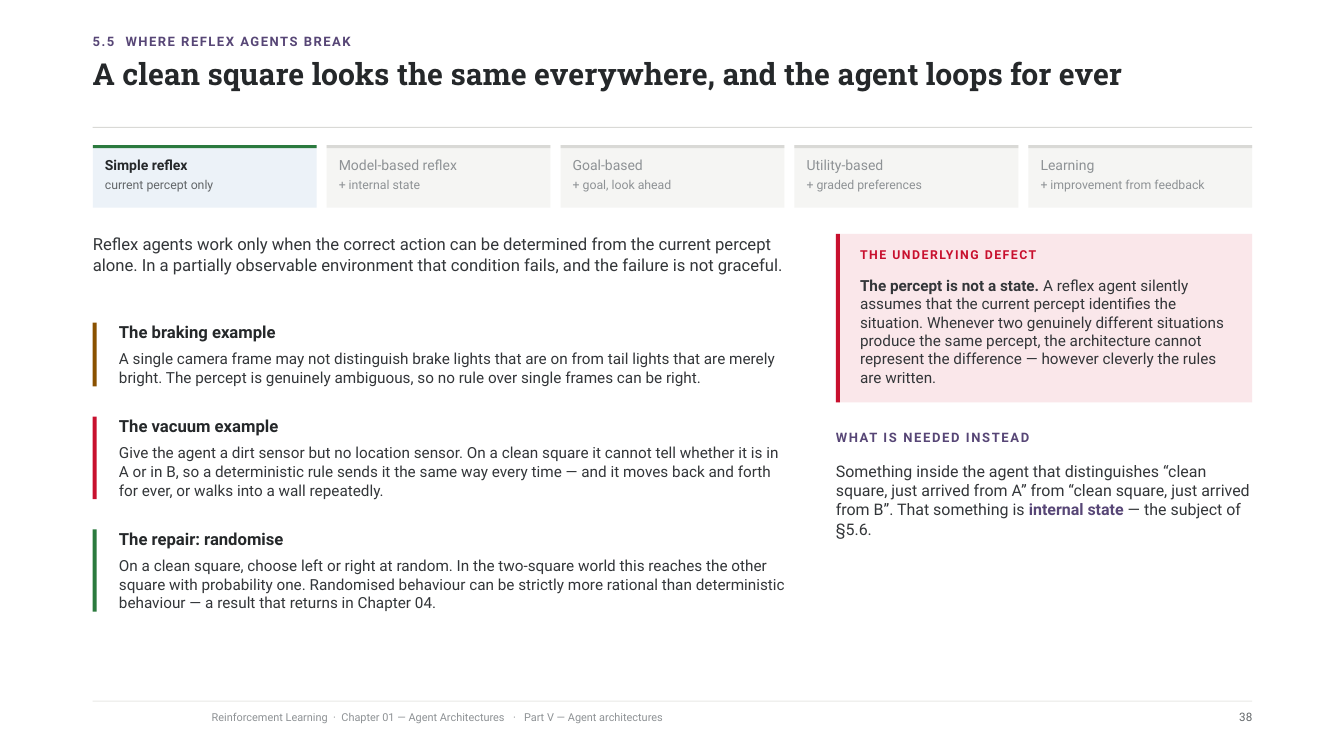
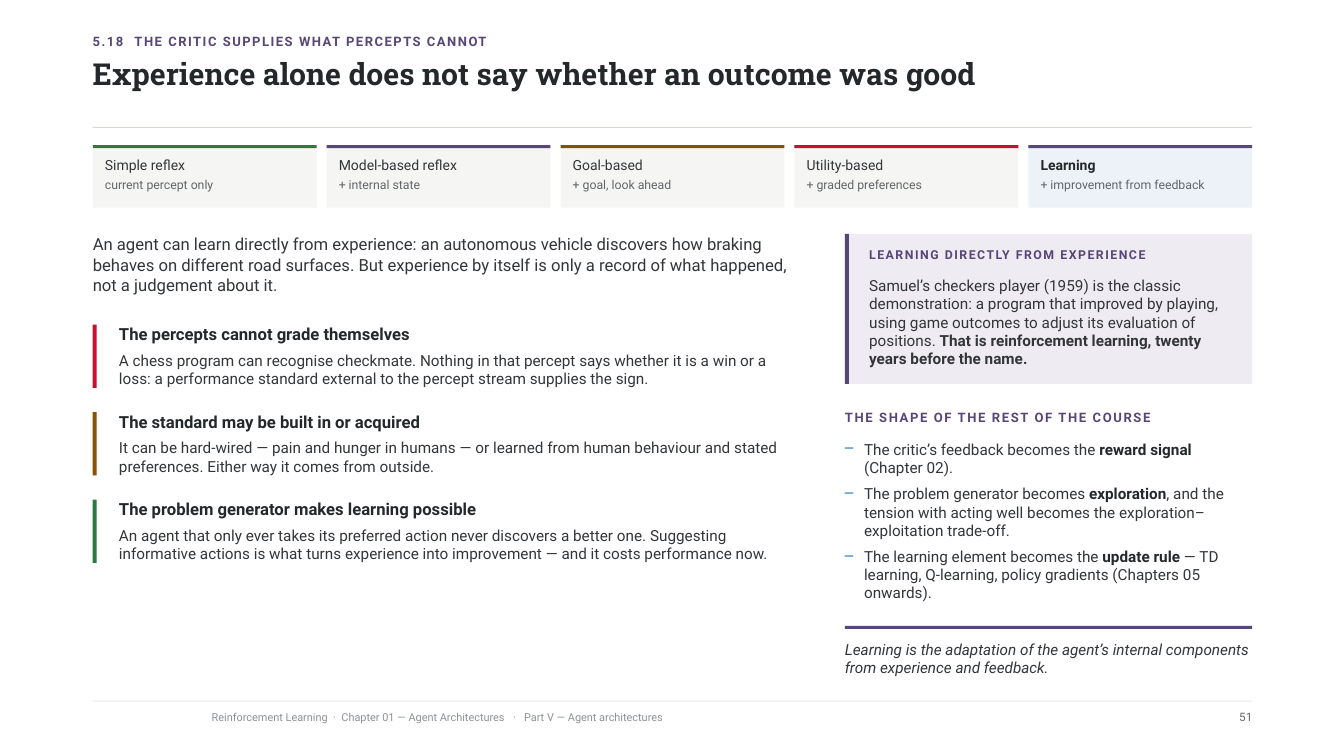
from dataclasses import dataclass
from typing import NamedTuple

from lxml.etree import SubElement
from pptx import Presentation
from pptx.dml.color import RGBColor
from pptx.enum.shapes import MSO_SHAPE
from pptx.enum.text import PP_ALIGN
from pptx.oxml.ns import qn
from pptx.slide import Slide
from pptx.util import Inches, Pt

# Shared palette and grid
INK, BODY, GREY, MUTED = "25282A", "333639", "626669", "8E9295"
RULE, FOOTER_RULE, PANEL, ACTIVE_PANEL = "D9D9D6", "E9E9E6", "F5F5F3", "ECF2F8"
PURPLE, GREEN, BROWN, RED, BLUE = "574676", "2B7A3E", "8A5100", "C8102E", "1971C2"
PALE_RED, PALE_PURPLE = "FAE7EA", "EEEBF2"
LEFT, WIDTH, CONTENT_TOP = 0.92, 11.5, 2.32
RIGHT = LEFT + WIDTH
BAR = 0.04


class Run(NamedTuple):
    text: str
    bold: bool | None = None
    color: str | None = None
    tracking: float = 0


@dataclass
class Text:
    runs: tuple[Run, ...]
    size: float
    line: float
    color: str = BODY
    bold: bool = False
    italic: bool = False
    before: float = 0
    font: str = "Roboto"
    tracking: float = 0
    align: PP_ALIGN | None = None
    bullet: str = ""


class Stage(NamedTuple):
    name: str
    detail: str
    color: str


class Point(NamedTuple):
    heading: str
    body: str
    color: str
    lines: int


class Callout(NamedTuple):
    heading: str
    runs: tuple[Run, ...]
    color: str
    fill: str
    lines: int


@dataclass
class Page:
    section: str
    topic: str
    title: str
    number: int
    active_stage: int
    intro: str
    points: tuple[Point, ...]
    points_top: float
    points_gap: float
    point_line: float
    column_left: float
    column_gap: float
    callout: Callout
    subheading: str

    @property
    def column_width(self) -> float:
        return RIGHT - self.column_left

    @property
    def callout_height(self) -> float:
        return 0.58 + self.callout.lines * 13.1 / 72

    @property
    def subheading_top(self) -> float:
        return CONTENT_TOP + self.callout_height + self.column_gap


STAGES = (
    Stage("Simple reflex", "current percept only", GREEN),
    Stage("Model-based reflex", "+ internal state", PURPLE),
    Stage("Goal-based", "+ goal, look ahead", BROWN),
    Stage("Utility-based", "+ graded preferences", RED),
    Stage("Learning", "+ improvement from feedback", PURPLE),
)


# Drawing helpers
def rgb(color: str) -> RGBColor:
    return RGBColor.from_string(color)


def plain(text: str) -> tuple[Run, ...]:
    return (Run(text),)


def add_block(slide: Slide, left: float, top: float, width: float, height: float, color: str) -> None:
    shape = slide.shapes.add_shape(
        MSO_SHAPE.RECTANGLE, Inches(left), Inches(top), Inches(width), Inches(height))
    shape.shadow.inherit = False
    shape.fill.solid()
    shape.fill.fore_color.rgb = rgb(color)
    shape.line.fill.background()


def add_bullet(paragraph, symbol: str) -> None:
    properties = paragraph._p.get_or_add_pPr()
    properties.set("marL", str(Inches(0.19)))
    properties.set("indent", str(-Inches(0.19)))
    bullet_color = SubElement(properties, qn("a:buClr"))
    SubElement(bullet_color, qn("a:srgbClr")).set("val", BLUE)
    SubElement(properties, qn("a:buChar")).set("char", symbol)


def add_text(slide: Slide, left: float, top: float, width: float, height: float, *texts: Text) -> None:
    box = slide.shapes.add_textbox(Inches(left), Inches(top), Inches(width), Inches(height))
    frame = box.text_frame
    frame.word_wrap = True
    frame.margin_left = frame.margin_right = frame.margin_top = frame.margin_bottom = 0
    for index, text in enumerate(texts):
        paragraph = frame.add_paragraph() if index else frame.paragraphs[0]
        if text.bullet:
            add_bullet(paragraph, text.bullet)
        paragraph.line_spacing = Pt(text.line)
        if text.before:
            paragraph.space_before = Pt(text.before)
        if text.align is not None:
            paragraph.alignment = text.align
        font = paragraph.font
        font.name, font.size = text.font, Pt(text.size)
        font.bold, font.italic = text.bold, text.italic
        font.color.rgb = rgb(text.color)
        for part in text.runs:
            run = paragraph.add_run()
            run.text = part.text
            if part.bold is not None:
                run.font.bold = part.bold
            if part.color:
                run.font.color.rgb = rgb(part.color)
            tracking = part.tracking or text.tracking
            if tracking:
                run._r.get_or_add_rPr().set("spc", str(round(tracking * 100)))


# Parts that both slides share
def add_frame(slide: Slide, page: Page) -> None:
    section = (Run(page.section), Run(" ", tracking=4.5), Run(page.topic))
    add_text(slide, LEFT, 0.36, WIDTH, 0.22, Text(section, 9.3, 9.3, PURPLE, True, tracking=1.1))
    add_text(slide, LEFT, 0.6, WIDTH, 0.52,
             Text(plain(page.title), 21.6, 22.5, INK, True, font="Roboto Slab"))
    add_block(slide, LEFT, 1.26, WIDTH, 0.01, RULE)
    add_block(slide, LEFT, 6.95, WIDTH, 0.01, FOOTER_RULE)
    narrow, wide = Run(" ", tracking=1.9), Run(" ", tracking=3.9)
    footer = (Run("Reinforcement Learning"), narrow, Run("·"), narrow,
              Run("Chapter 01 — Agent Architectures"), wide, Run("·"), wide,
              Run("Part V — Agent architectures"))
    add_text(slide, 2.1, 7.07, 9.1, 0.22, Text(footer, 7.8, 7.8, MUTED))
    add_text(slide, RIGHT - 1.2, 7.07, 1.2, 0.22,
             Text(plain(str(page.number)), 8.3, 8.3, GREY, align=PP_ALIGN.RIGHT))


def add_stages(slide: Slide, active: int) -> None:
    gap = 0.1
    width = (WIDTH - gap * (len(STAGES) - 1)) / len(STAGES)
    for index, stage in enumerate(STAGES):
        left = LEFT + index * (width + gap)
        current, ahead = index == active, index > active
        add_block(slide, left, 1.44, width, 0.62, ACTIVE_PANEL if current else PANEL)
        add_block(slide, left, 1.44, width, 0.03, RULE if ahead else stage.color)
        name_color = INK if current else MUTED if ahead else BODY
        add_text(slide, left + 0.12, 1.56, width - 0.24, 0.38,
                 Text(plain(stage.name), 10, 11.8, name_color, current),
                 Text(plain(stage.detail), 8.8, 9.9, MUTED if ahead else GREY, before=3))


def add_points(slide: Slide, page: Page) -> None:
    top, width = page.points_top, page.column_left - 0.45 - LEFT
    add_text(slide, LEFT, CONTENT_TOP, width, 0.64, Text(plain(page.intro), 11.9, 14.5))
    for point in page.points:
        height = (14 + 5 + point.lines * page.point_line) / 72
        add_text(slide, LEFT + 0.26, top, width - 0.26, height + 0.04,
                 Text(plain(point.heading), 11.9, 14, INK, True),
                 Text(plain(point.body), 10.9, page.point_line, before=5))
        add_block(slide, LEFT, top, BAR, height, point.color)
        top += height + page.points_gap


def add_callout(slide: Slide, page: Page) -> None:
    callout, left, width = page.callout, page.column_left, page.column_width
    height = page.callout_height
    add_block(slide, left, CONTENT_TOP, width, height, callout.fill)
    add_block(slide, left, CONTENT_TOP, BAR, height, callout.color)
    add_text(slide, left + 0.24, CONTENT_TOP + 0.16, width - 0.32, 0.2,
             Text(plain(callout.heading), 8.8, 8.8, callout.color, True, tracking=1.1))
    add_text(slide, left + 0.24, CONTENT_TOP + 0.42, width - 0.42, height - 0.58,
             Text(callout.runs, 10.9, 13.1))
    add_text(slide, left, page.subheading_top, width, 0.2,
             Text(plain(page.subheading), 9.3, 9.3, PURPLE, True, tracking=1.2))


def add_page(presentation, page: Page) -> Slide:
    slide = presentation.slides.add_slide(presentation.slide_layouts[6])
    add_frame(slide, page)
    add_stages(slide, page.active_stage)
    add_points(slide, page)
    add_callout(slide, page)
    return slide


# Slide content
REFLEX = Page(
    "5.5", "WHERE REFLEX AGENTS BREAK",
    "A clean square looks the same everywhere, and the agent loops for ever", 38, 0,
    "Reflex agents work only when the correct action can be determined from the current percept alone. In a partially observable environment that condition fails, and the failure is not graceful.",
    (Point("The braking example", "A single camera frame may not distinguish brake lights that are on from tail lights that are merely bright. The percept is genuinely ambiguous, so no rule over single frames can be right.", BROWN, 2),
     Point("The vacuum example", "Give the agent a dirt sensor but no location sensor. On a clean square it cannot tell whether it is in A or in B, so a deterministic rule sends it the same way every time — and it moves back and forth for ever, or walks into a wall repeatedly.", RED, 3),
     Point("The repair: randomise", "On a clean square, choose left or right at random. In the two-square world this reaches the other square with probability one. Randomised behaviour can be strictly more rational than deterministic behaviour — a result that returns in Chapter 04.", GREEN, 3)),
    points_top=3.2, points_gap=0.3, point_line=13.3, column_left=8.29, column_gap=0.3,
    callout=Callout("THE UNDERLYING DEFECT", (
        Run("The percept is not a state.", True),
        Run(" A reflex agent silently assumes that the current percept identifies the situation. Whenever two genuinely different situations produce the same percept, the architecture cannot represent the difference — however cleverly the rules are written.")),
        RED, PALE_RED, 6),
    subheading="WHAT IS NEEDED INSTEAD")

CRITIC = Page(
    "5.18", "THE CRITIC SUPPLIES WHAT PERCEPTS CANNOT",
    "Experience alone does not say whether an outcome was good", 51, 4,
    "An agent can learn directly from experience: an autonomous vehicle discovers how braking behaves on different road surfaces. But experience by itself is only a record of what happened, not a judgement about it.",
    (Point("The percepts cannot grade themselves", "A chess program can recognise checkmate. Nothing in that percept says whether it is a win or a loss: a performance standard external to the percept stream supplies the sign.", RED, 2),
     Point("The standard may be built in or acquired", "It can be hard-wired — pain and hunger in humans — or learned from human behaviour and stated preferences. Either way it comes from outside.", BROWN, 2),
     Point("The problem generator makes learning possible", "An agent that only ever takes its preferred action never discovers a better one. Suggesting informative actions is what turns experience into improvement — and it costs performance now.", GREEN, 2)),
    points_top=3.22, points_gap=0.24, point_line=13.1, column_left=8.38, column_gap=0.28,
    callout=Callout("LEARNING DIRECTLY FROM EXPERIENCE", (
        Run("Samuel’s checkers player (1959) is the classic demonstration: a program that improved by playing, using game outcomes to adjust its evaluation of positions. "),
        Run("That is reinforcement learning, twenty years before the name.", True)),
        PURPLE, PALE_PURPLE, 5),
    subheading="THE SHAPE OF THE REST OF THE COURSE")

REMEDY = (
    Run("Something inside the agent that distinguishes “clean square, just arrived from A” from “clean square, just arrived from B”. That something is "),
    Run("internal state", True, PURPLE), Run(" — the subject of §5.6."))

COURSE_LINKS = (
    ("The critic’s feedback becomes the ", "reward signal", " (Chapter 02)."),
    ("The problem generator becomes ", "exploration", ", and the tension with acting well becomes the exploration–exploitation trade-off."),
    ("The learning element becomes the ", "update rule", " — TD learning, Q-learning, policy gradients (Chapters 05 onwards)."),
)


def main() -> None:
    presentation = Presentation()
    presentation.slide_width, presentation.slide_height = Inches(13.33), Inches(7.5)

    # Reflex agents: the remedy
    slide = add_page(presentation, REFLEX)
    add_text(slide, REFLEX.column_left, REFLEX.subheading_top + 0.28, REFLEX.column_width, 0.81,
             Text(REMEDY, 11.4, 13.9))

    # The critic: links to later chapters and closing definition
    slide = add_page(presentation, CRITIC)
    left, width = CRITIC.column_left, CRITIC.column_width
    links = [Text((Run(start), Run(term, True, INK), Run(end)), 10.9, 12.9,
                  before=6 if index else 0, bullet="–")
             for index, (start, term, end) in enumerate(COURSE_LINKS)]
    add_text(slide, left, CRITIC.subheading_top + 0.28, width, 1.64, *links)
    add_block(slide, left, 6.21, width, 0.03, PURPLE)
    add_text(slide, left, 6.35, width, 0.4, Text(plain(
        "Learning is the adaptation of the agent’s internal components from experience and feedback."),
        10.9, 13.1, italic=True))

    presentation.save("out.pptx")


if __name__ == "__main__":
    main()
